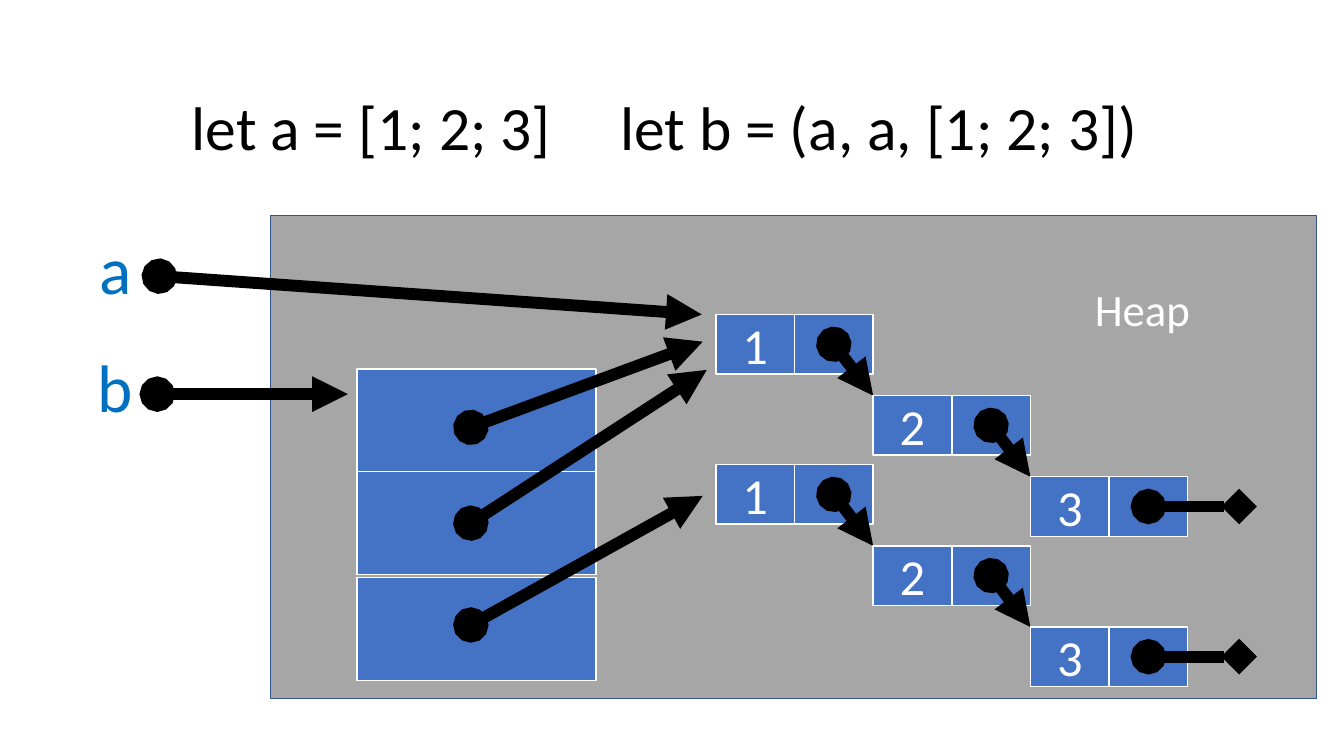
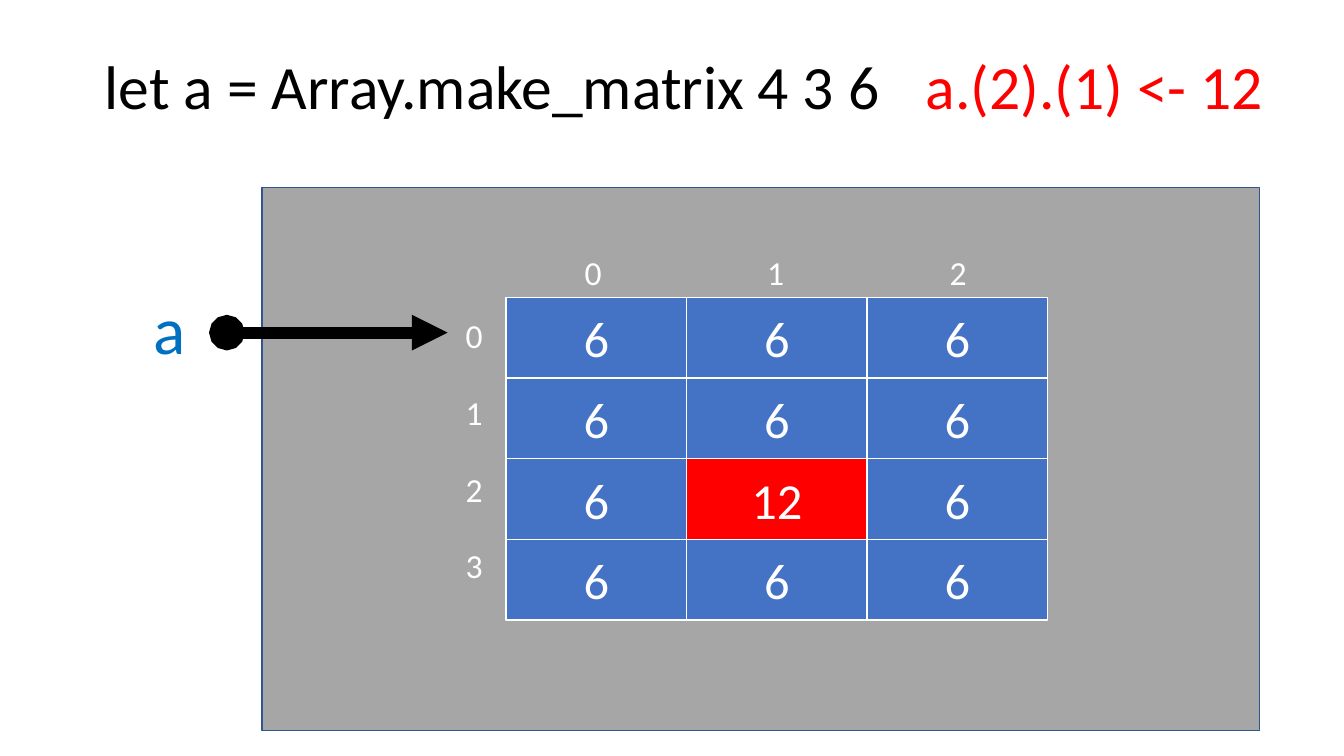
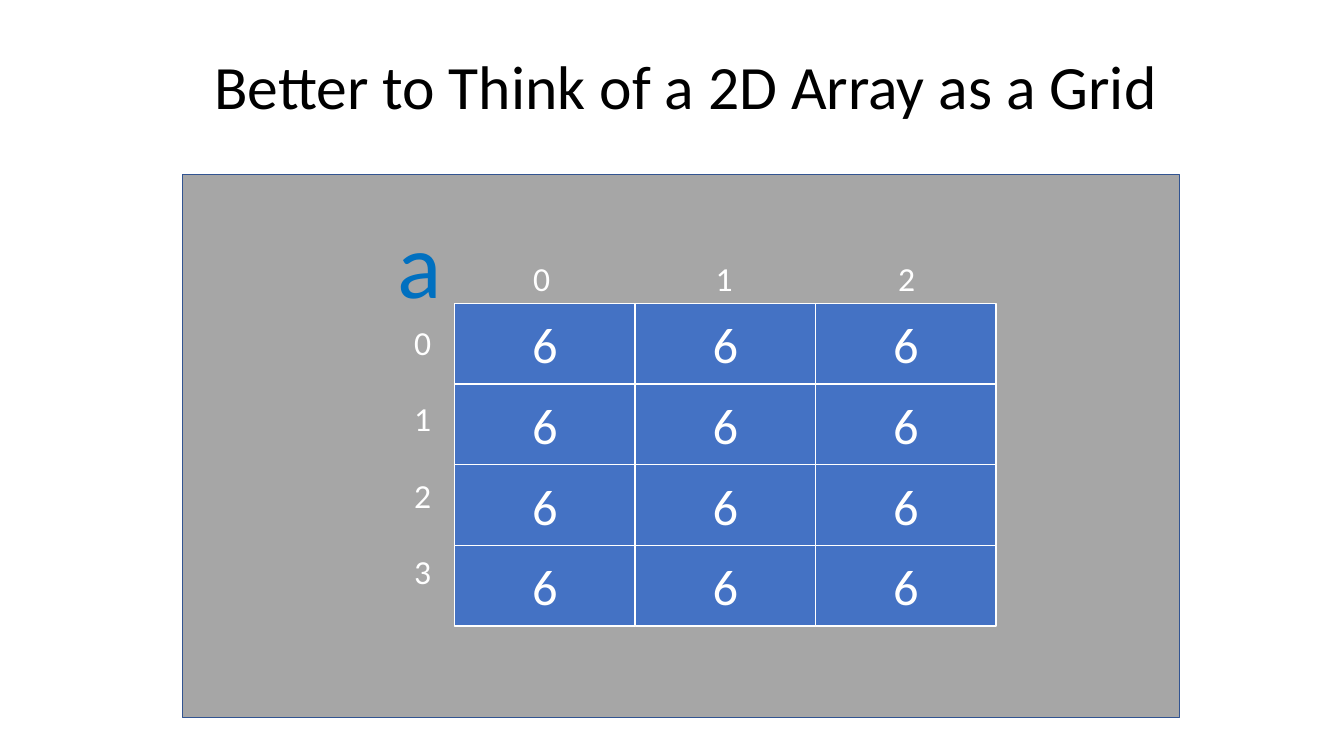
from dataclasses import dataclass

from lxml.etree import SubElement
from pptx import Presentation
from pptx.dml.color import RGBColor as RGB
from pptx.enum.shapes import MSO_CONNECTOR as LINK, MSO_SHAPE as SHAPE
from pptx.enum.text import MSO_ANCHOR as ANCHOR, PP_ALIGN as ALIGN
from pptx.oxml.ns import qn
from pptx.slide import Slide
from pptx.util import Inches, Pt

BLACK = RGB(0x00, 0x00, 0x00)
WHITE = RGB(0xFF, 0xFF, 0xFF)
GRAY = RGB(0xA6, 0xA6, 0xA6)
BLUE = RGB(0x44, 0x72, 0xC4)
NAVY = RGB(0x32, 0x54, 0x91)
SKY = RGB(0x00, 0x70, 0xC0)
RED = RGB(0xFF, 0x00, 0x00)
FONT = "Calibri"


@dataclass(frozen=True)
class Box:
    left: float
    top: float
    width: float
    height: float

    def lengths(self) -> list[Inches]:
        return [Inches(v) for v in (self.left, self.top, self.width, self.height)]


@dataclass(frozen=True)
class Arrow:
    x1: float
    y1: float
    x2: float
    y2: float
    tip: str = "triangle"


@dataclass(frozen=True)
class Part:
    text: str
    color: RGB = BLACK


@dataclass(frozen=True)
class Tab:
    """Where the title text starts in its box, and its tab stop."""
    inset: float
    stop: float


# Drawing helpers
def style(para, size: float, color: RGB | None = None) -> None:
    para.font.name = FONT
    para.font.size = Pt(size)
    if color is not None:
        para.font.color.rgb = color


def add_rect(slide: Slide, box: Box, fill: RGB = BLUE, edge: RGB = WHITE,
             text: str = "") -> None:
    rect = slide.shapes.add_shape(SHAPE.RECTANGLE, *box.lengths())
    rect.shadow.inherit = False
    rect.fill.solid()
    rect.fill.fore_color.rgb = fill
    rect.line.color.rgb = edge
    rect.line.width = Pt(1)
    if text:
        frame = rect.text_frame
        frame.vertical_anchor = ANCHOR.MIDDLE
        para = frame.paragraphs[0]
        para.text = text
        para.alignment = ALIGN.CENTER
        style(para, 36, WHITE)


def add_label(slide: Slide, box: Box, text: str, size: float = 24,
              color: RGB = WHITE) -> None:
    frame = slide.shapes.add_textbox(*box.lengths()).text_frame
    frame.word_wrap = True
    para = frame.paragraphs[0]
    para.text = text
    style(para, size, color)


def add_title(slide: Slide, box: Box, parts: list[Part],
              tab: Tab | None = None) -> None:
    frame = slide.shapes.add_textbox(*box.lengths()).text_frame
    frame.word_wrap = True
    frame.vertical_anchor = ANCHOR.MIDDLE
    para = frame.paragraphs[0]
    para.line_spacing = 0.9
    para.alignment = ALIGN.LEFT if tab else ALIGN.CENTER
    if tab:
        frame.margin_left = Inches(tab.inset)
        stops = SubElement(para._p.get_or_add_pPr(), qn("a:tabLst"))
        SubElement(stops, qn("a:tab"), pos=str(Inches(tab.stop)), algn="l")
    style(para, 44)
    for part in parts:
        run = para.add_run()
        run.text = part.text
        run.font.color.rgb = part.color


def add_arrow(slide: Slide, arrow: Arrow) -> None:
    ends = (arrow.x1, arrow.y1, arrow.x2, arrow.y2)
    link = slide.shapes.add_connector(LINK.STRAIGHT, *[Inches(v) for v in ends])
    link.line.color.rgb = BLACK
    link.line.width = Pt(8.5)
    line = link.line._get_or_add_ln()
    SubElement(line, qn("a:headEnd"), type="oval")
    SubElement(line, qn("a:tailEnd"), type=arrow.tip)
    SubElement(link._element.spPr, qn("a:effectLst"))


def add_panel(slide: Slide, box: Box) -> None:
    add_rect(slide, box, GRAY, NAVY)


def add_list(slide: Slide, left: float, top: float, items: str) -> None:
    """Linked cells that step down to the right."""
    wide, high, drop = 0.78, 0.59, 0.805
    for i, item in enumerate(items):
        x, y = left + 2 * wide * i, top + drop * i
        add_rect(slide, Box(x, y, wide, high), text=item)
        add_rect(slide, Box(x + wide, y, wide, high))
        mid_x, mid_y = x + 1.5 * wide, y + high / 2
        if i < len(items) - 1:
            add_arrow(slide, Arrow(mid_x, mid_y, x + 2 * wide, y + drop))
        else:
            add_arrow(slide, Arrow(mid_x, mid_y, mid_x + 0.9, mid_y, "diamond"))


def add_grid(slide: Slide, left: float, top: float,
             changed: dict[tuple[int, int], str]) -> None:
    """Four by three cells with row and column numbers."""
    rows, cols, wide, high = 4, 3, 1.79, 0.8
    for c in range(cols):
        for r in range(rows):
            fill = RED if (r, c) in changed else BLUE
            cell = Box(left + wide * c, top + high * r, wide, high)
            add_rect(slide, cell, fill, text=changed.get((r, c), "6"))
    for r in range(rows):
        add_label(slide, Box(left - 0.5, top + 0.13 + 0.76 * r, 0.33, 0.5), str(r))
    for c in range(cols):
        add_label(slide, Box(left + 0.68 + 1.81 * c, top - 0.5, 0.33, 0.5), str(c))


# Slides
TOP = Box(0.46, 0.59, 12.69, 0.59)


def draw_heap(slide: Slide) -> None:
    add_panel(slide, Box(2.68, 2.14, 10.38, 4.79))
    add_title(slide, Box(0.89, 0.57, 11.5, 1.45),
              [Part("let a = [1; 2; 3]\tlet b = (a, a, [1; 2; 3])")],
              Tab(1.01, 4.25))
    add_label(slide, Box(0.89, 2.21, 0.56, 0.91), "a", 48, SKY)
    add_label(slide, Box(0.87, 3.38, 0.56, 0.91), "b", 48, SKY)
    add_label(slide, Box(10.76, 2.75, 1.16, 0.64), "Heap", 32)
    for top in (3.12, 4.61):
        add_list(slide, 7.1, top, "123")
    for top in (3.66, 4.68, 5.73):
        add_rect(slide, Box(3.54, top, 2.37, 1.02))
    for arrow in (
        Arrow(1.58, 2.74, 6.96, 3.12),
        Arrow(1.56, 3.91, 3.45, 3.91),
        Arrow(4.67, 4.24, 6.97, 3.39),
        Arrow(4.67, 5.19, 7.01, 3.67),
        Arrow(4.67, 6.2, 6.97, 4.92),
    ):
        add_arrow(slide, arrow)


def draw_matrix(slide: Slide) -> None:
    add_panel(slide, Box(2.6, 1.86, 9.89, 5.39))
    add_arrow(slide, Arrow(2.25, 3.3, 4.44, 3.3))
    add_label(slide, Box(1.42, 2.8, 0.56, 0.91), "a", 48, SKY)
    add_title(slide, TOP,
              [Part("let a = Array.make_matrix 4 3 6\t"),
               Part("a.(2).(1) <- 12", RED)],
              Tab(0.58, 8.14))
    add_grid(slide, 5.02, 2.95, {(2, 1): "12"})


def draw_plain(slide: Slide) -> None:
    add_panel(slide, Box(1.81, 1.73, 9.89, 5.39))
    add_label(slide, Box(3.84, 2, 0.56, 1.21), "a", 66, SKY)
    add_title(slide, TOP, [Part("Better to Think of a 2D Array as a Grid")])
    add_grid(slide, 4.51, 3.01, {})


def main() -> None:
    deck = Presentation()
    deck.slide_width, deck.slide_height = Inches(13.33), Inches(7.5)
    blank = deck.slide_layouts[6]
    for draw in (draw_heap, draw_matrix, draw_plain):
        draw(deck.slides.add_slide(blank))
    deck.save("out.pptx")


if __name__ == "__main__":
    main()
